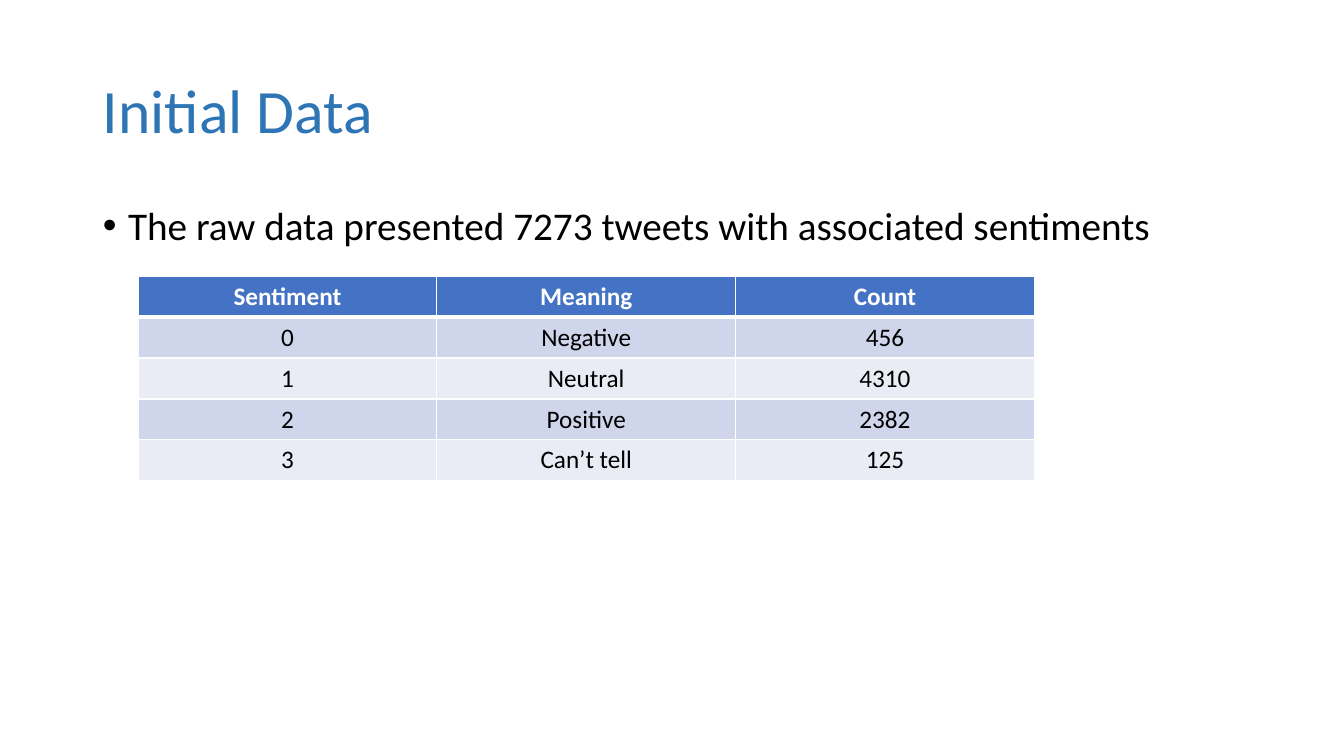
from lxml.etree import SubElement
from pptx import Presentation
from pptx.dml.color import RGBColor
from pptx.enum.text import MSO_ANCHOR, MSO_AUTO_SIZE, PP_ALIGN
from pptx.oxml.ns import qn
from pptx.util import Inches, Pt

TITLE_BLUE = RGBColor(0x2E, 0x75, 0xB6)
HEADER_BLUE = RGBColor(0x44, 0x72, 0xC4)
BAND_DARK = RGBColor(0xCF, 0xD5, 0xEA)
BAND_LIGHT = RGBColor(0xE9, 0xEB, 0xF5)
WHITE = RGBColor(0xFF, 0xFF, 0xFF)
BLACK = RGBColor(0x00, 0x00, 0x00)


def add_run(paragraph, text, size, color, bold=False):
    run = paragraph.add_run()
    run.text = text
    run.font.name = "Calibri"
    run.font.size = Pt(size)
    run.font.bold = bold
    run.font.color.rgb = color


def add_border(cell, side, width):
    line = SubElement(cell._tc.get_or_add_tcPr(), qn(f"a:{side}"), w=str(Pt(width)))
    fill = SubElement(line, qn("a:solidFill"))
    SubElement(fill, qn("a:srgbClr"), val=str(WHITE))


presentation = Presentation()
presentation.slide_width = Inches(13.33)
presentation.slide_height = Inches(7.5)
slide = presentation.slides.add_slide(presentation.slide_layouts[1])

heading = slide.shapes.title
summary = slide.placeholders[1]
for placeholder, top, height in ((heading, 0.4, 1.45), (summary, 2, 4.76)):
    placeholder.left, placeholder.top = Inches(0.92), Inches(top)
    placeholder.width, placeholder.height = Inches(11.5), Inches(height)
    placeholder.text_frame.auto_size = MSO_AUTO_SIZE.NONE
    paragraph = placeholder.text_frame.paragraphs[0]
    paragraph.alignment = PP_ALIGN.LEFT
    paragraph.line_spacing = 0.9

heading.text_frame.vertical_anchor = MSO_ANCHOR.MIDDLE
add_run(heading.text_frame.paragraphs[0], "Initial Data", 44, TITLE_BLUE)

finding = summary.text_frame.paragraphs[0]
finding.space_before = Pt(10)
add_run(finding, "The raw data presented 7273 tweets with associated sentiments", 28, BLACK)
bullet = finding._p.get_or_add_pPr()
bullet.set("marL", str(Inches(0.25)))
bullet.set("indent", str(-Inches(0.25)))
SubElement(bullet, qn("a:buFont"), typeface="Arial")
SubElement(bullet, qn("a:buChar"), char="•")

sentiment_rows = [
    ("Sentiment", "Meaning", "Count"),
    ("0", "Negative", "456"),
    ("1", "Neutral", "4310"),
    ("2", "Positive", "2382"),
    ("3", "Can’t tell", "125"),
]
sentiments = slide.shapes.add_table(
    len(sentiment_rows), 3, Inches(1.37), Inches(2.74), Inches(8.89), Inches(2.03)
).table

for row_index, values in enumerate(sentiment_rows):
    is_header = row_index == 0
    band = HEADER_BLUE if is_header else BAND_DARK if row_index % 2 else BAND_LIGHT
    for column_index, value in enumerate(values):
        cell = sentiments.cell(row_index, column_index)
        add_border(cell, "lnL", 1)
        add_border(cell, "lnR", 1)
        add_border(cell, "lnT", 3 if row_index == 1 else 1)
        add_border(cell, "lnB", 3 if is_header else 1)
        cell.fill.solid()
        cell.fill.fore_color.rgb = band
        label = cell.text_frame.paragraphs[0]
        label.alignment = PP_ALIGN.CENTER
        add_run(label, value, 18, WHITE if is_header else BLACK, is_header)

presentation.save("out.pptx")
